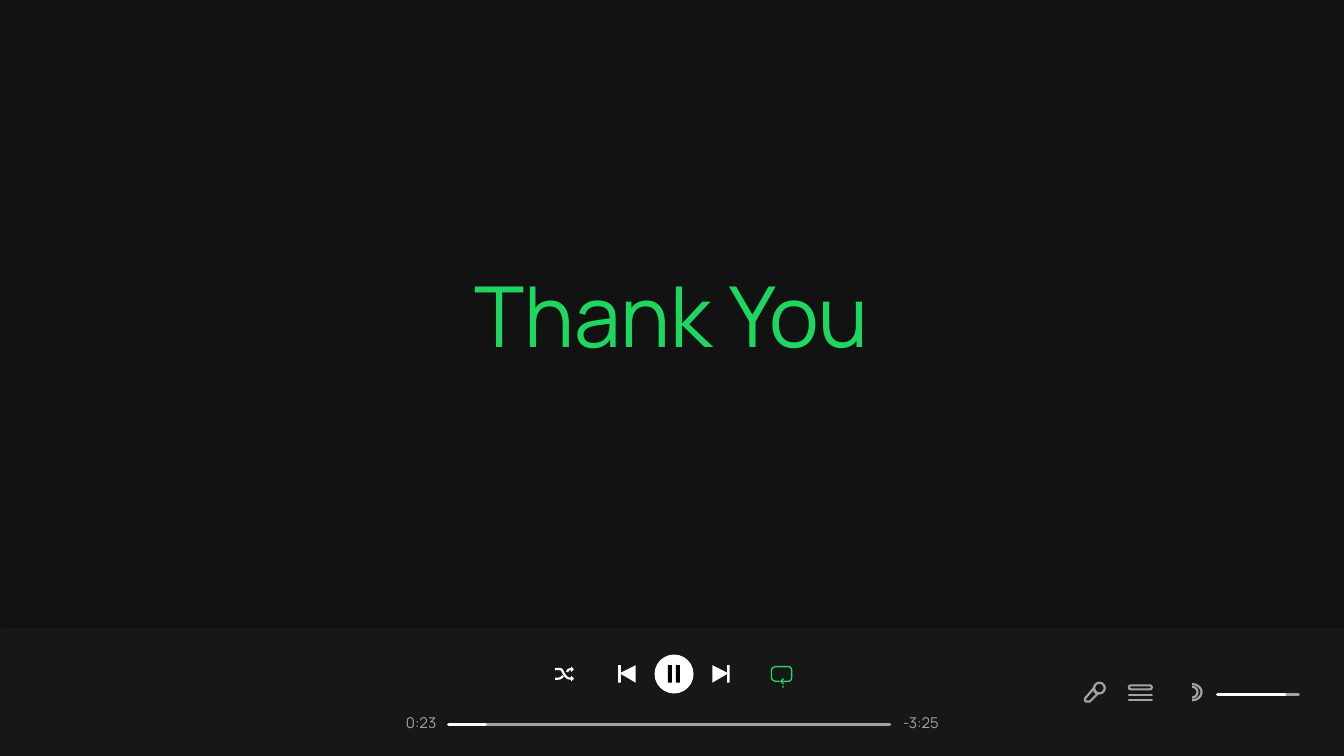
from dataclasses import dataclass

import pptx
import pptx.dml.color
import pptx.enum.shapes
import pptx.enum.text
import pptx.oxml
import pptx.oxml.ns
import pptx.util
from pptx.util import Inches

RGBColor = pptx.dml.color.RGBColor
MSO_SHAPE = pptx.enum.shapes.MSO_SHAPE
PP_ALIGN = pptx.enum.text.PP_ALIGN

BACKGROUND = RGBColor(0x12, 0x12, 0x12)
BAR = RGBColor(0x17, 0x17, 0x17)
GREEN = RGBColor(0x1E, 0xD7, 0x60)
GREY = RGBColor(0xA3, 0xA3, 0xA3)
WHITE = RGBColor(0xFF, 0xFF, 0xFF)
BLACK = RGBColor(0, 0, 0)
FONT = "Manrope"
ICON_PT = 1.2
TRACK_PT = 1.8
CURVE_STEPS = 8


@dataclass
class Box:
    x: float
    y: float
    w: float
    h: float

    def emu(self) -> tuple:
        return tuple(Inches(v) for v in (self.x, self.y, self.w, self.h))


@dataclass
class Slider:
    x: float
    y: float
    length: float
    played: float


def paint(sp, fill=None, line=None, width: float = ICON_PT) -> None:
    sp.shadow.inherit = False
    if fill is None:
        sp.fill.background()
    else:
        sp.fill.solid()
        sp.fill.fore_color.rgb = fill
    if line is None:
        sp.line.fill.background()
    else:
        sp.line.color.rgb = line
        sp.line.width = pptx.util.Pt(width)


def add_preset(s, kind, box: Box, **style):
    sp = s.shapes.add_shape(kind, *box.emu())
    paint(sp, **style)
    return sp


def add_path(s, start: tuple, segments: list, closed: bool = False, **style) -> None:
    """Two numbers make a straight segment, six a Bezier curve."""
    points, (x, y) = [], start
    for seg in segments:
        if len(seg) == 2:
            points.append(seg)
        else:
            x1, y1, x2, y2, x3, y3 = seg
            for i in range(1, CURVE_STEPS + 1):
                t = i / CURVE_STEPS
                a, b, c, d = (1 - t) ** 3, 3 * t * (1 - t) ** 2, 3 * t * t * (1 - t), t ** 3
                points.append((a * x + b * x1 + c * x2 + d * x3,
                               a * y + b * y1 + c * y2 + d * y3))
        x, y = seg[-2:]
    fb = s.shapes.build_freeform(Inches(start[0]), Inches(start[1]), scale=1.0)
    fb.add_line_segments([(Inches(px), Inches(py)) for px, py in points], close=closed)
    paint(fb.convert_to_shape(), **style)


def add_rule(s, x: float, y: float, length: float, color, width: float) -> None:
    cxn = s.shapes.add_connector(pptx.enum.shapes.MSO_CONNECTOR.STRAIGHT,
                                 Inches(x), Inches(y), Inches(x + length), Inches(y))
    cxn.line.color.rgb = color
    cxn.line.width = pptx.util.Pt(width)
    cxn.line._get_or_add_ln().set("cap", "rnd")
    cxn._element.spPr.append(pptx.oxml.parse_xml(
        f'<a:effectLst {pptx.oxml.ns.nsdecls("a")}/>'))


def add_slider(s, slider: Slider) -> None:
    add_rule(s, slider.x, slider.y, slider.length, GREY, TRACK_PT)
    add_rule(s, slider.x, slider.y, slider.played, WHITE, TRACK_PT)


def write(sp, text: str, size: float, color, align) -> None:
    tf = sp.text_frame
    tf.word_wrap = True
    tf.auto_size = pptx.enum.text.MSO_AUTO_SIZE.NONE
    tf.vertical_anchor = pptx.enum.text.MSO_ANCHOR.MIDDLE
    tf.margin_left = tf.margin_right = Inches(0.07)
    tf.margin_top = tf.margin_bottom = Inches(0.04)
    p = tf.paragraphs[0]
    p.alignment = align
    r = p.add_run()
    r.text = text
    r.font.name = FONT
    r.font.size = pptx.util.Pt(size)
    r.font.color.rgb = color


def add_bar(s) -> None:
    sp = add_preset(s, MSO_SHAPE.RECTANGLE, Box(0, 4.67, 10, 0.96), fill=BAR)
    effects = sp._element.spPr.find(pptx.oxml.ns.qn("a:effectLst"))
    effects.append(pptx.oxml.parse_xml(
        f'<a:outerShdw {pptx.oxml.ns.nsdecls("a")} blurRad="127000" dist="38100" '
        'dir="2700000" algn="ctr" rotWithShape="0"><a:srgbClr val="000000">'
        '<a:alpha val="60000"/></a:srgbClr></a:outerShdw>'))


def add_playback(s) -> None:
    # Pause button
    add_preset(s, MSO_SHAPE.OVAL, Box(4.87, 4.87, 0.29, 0.29), fill=WHITE)
    for x in (4.97, 5.03):
        add_preset(s, MSO_SHAPE.RECTANGLE, Box(x, 4.95, 0.03, 0.13), fill=BLACK)
    # Next and previous
    for base, tip, stop in ((5.3, 5.42, 5.41), (4.73, 4.61, 4.6)):
        add_path(s, (tip, 5.01), [(base, 4.95), (base, 5.08)], closed=True, fill=WHITE)
        add_preset(s, MSO_SHAPE.RECTANGLE, Box(stop, 4.95, 0.02, 0.13), fill=WHITE)


def add_repeat(s) -> None:
    add_path(s, (5.8, 5.07), [
        (5.78, 5.07), (5.76, 5.07, 5.74, 5.06, 5.74, 5.04),
        (5.74, 4.99), (5.74, 4.97, 5.76, 4.96, 5.78, 4.96),
        (5.86, 4.96), (5.88, 4.96, 5.89, 4.97, 5.89, 4.99),
        (5.89, 5.04), (5.89, 5.06, 5.88, 5.07, 5.86, 5.07), (5.82, 5.07),
    ], line=GREEN, width=0.75)
    add_path(s, (5.83, 5.05), [(5.81, 5.07), (5.83, 5.09)], line=GREEN, width=0.75)
    add_preset(s, MSO_SHAPE.OVAL, Box(5.82, 5.1, 0.01, 0.02), fill=GREEN)


def add_shuffle(s) -> None:
    strands = [
        ((4.13, 4.98), [(4.19, 4.97, 4.18, 4.99, 4.2, 5.02), (4.22, 5.05, 4.23, 5.05, 4.26, 5.05)]),
        ((4.22, 5), [(4.23, 4.98, 4.23, 4.98, 4.26, 4.98)]),
        ((4.13, 5.05), [(4.17, 5.05, 4.17, 5.05, 4.19, 5.03)]),
    ]
    for start, segments in strands:
        add_path(s, start, segments, line=WHITE)
    for y in (4.98, 5.05):
        add_path(s, (4.25, y - 0.02), [(4.27, y), (4.25, y + 0.02)], closed=True, fill=WHITE)


def add_side_icons(s) -> None:
    # Microphone
    add_path(s, (8.14, 5.12), [
        (8.08, 5.19), (8.07, 5.2, 8.07, 5.21, 8.08, 5.22),
        (8.09, 5.22, 8.1, 5.22, 8.11, 5.22), (8.17, 5.16),
        (8.15, 5.16, 8.14, 5.14, 8.14, 5.12),
    ], closed=True, line=GREY)
    add_preset(s, MSO_SHAPE.OVAL, Box(8.14, 5.08, 0.08, 0.08), line=GREY)
    # Queue
    sp = add_preset(s, MSO_SHAPE.ROUNDED_RECTANGLE, Box(8.4, 5.1, 0.17, 0.03), line=GREY)
    sp.adjustments[0] = 0.5
    for y in (5.17, 5.21):
        add_rule(s, 8.4, y, 0.17, GREY, ICON_PT)
    # Volume waves
    for rx, ry in ((0.07, 0.06), (0.04, 0.04)):
        x, y, k = 8.87, 5.15, 0.55
        add_path(s, (x, y - ry), [
            (x + k * rx, y - ry, x + rx, y - k * ry, x + rx, y),
            (x + rx, y + k * ry, x + k * rx, y + ry, x, y + ry),
        ], line=GREY)


def main() -> None:
    prs = pptx.Presentation()
    # Widescreen, 16 to 9
    prs.slide_width = Inches(10)
    prs.slide_height = prs.slide_width * 9 // 16
    s = prs.slides.add_slide(prs.slide_layouts[5])
    s.background.fill.solid()
    s.background.fill.fore_color.rgb = BACKGROUND

    # Title
    title = s.shapes.title
    title.left, title.top, title.width, title.height = Box(3.24, 1.92, 3.51, 0.83).emu()
    write(title, "Thank You", 45, GREEN, PP_ALIGN.CENTER)

    # Player bar with times
    add_bar(s)
    for text, box in (("0:23", Box(2.95, 5.27, 0.39, 0.21)),
                      ("-3:25", Box(6.65, 5.27, 0.51, 0.21))):
        write(s.shapes.add_textbox(*box.emu()), text, 8, GREY, PP_ALIGN.LEFT)

    # Controls, then progress and volume
    add_playback(s)
    add_repeat(s)
    add_shuffle(s)
    add_side_icons(s)
    for slider in (Slider(3.34, 5.39, 3.28, 0.27), Slider(9.06, 5.17, 0.6, 0.5)):
        add_slider(s, slider)

    prs.save("out.pptx")


if __name__ == "__main__":
    main()
